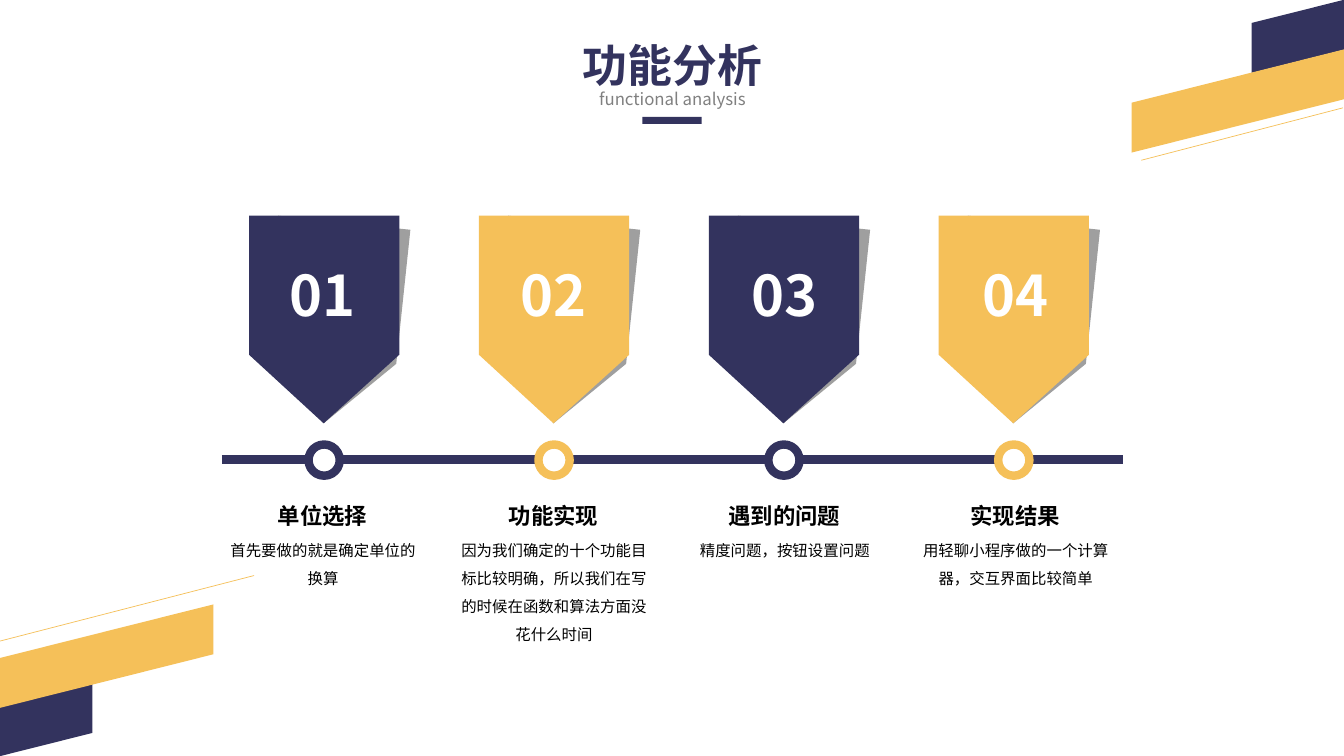
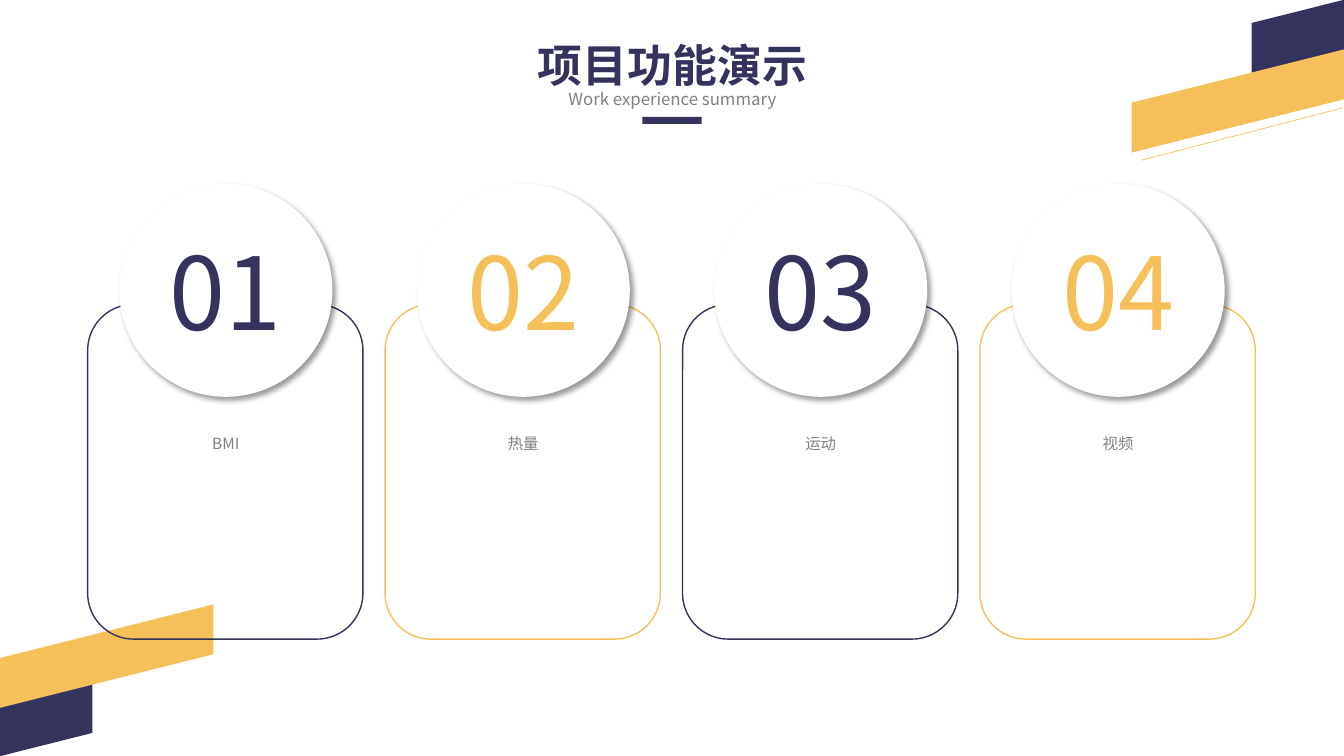
from lxml import etree
from pptx import Presentation
from pptx.dml.color import RGBColor
from pptx.enum.shapes import MSO_CONNECTOR, MSO_SHAPE
from pptx.enum.text import MSO_ANCHOR, MSO_AUTO_SIZE, PP_ALIGN
from pptx.oxml import parse_xml
from pptx.oxml.ns import nsdecls, qn
from pptx.util import Pt

PX = 9144  # EMU, 100 px to the inch
NAVY = RGBColor(0x33, 0x33, 0x5E)
AMBER = RGBColor(0xF5, 0xC0, 0x59)
GREY = RGBColor(0x80, 0x80, 0x80)
DARK = RGBColor(0x40, 0x40, 0x40)
WHITE = RGBColor(0xFF, 0xFF, 0xFF)
BLACK = RGBColor(0, 0, 0)
ACCENTS = [NAVY, AMBER, NAVY, AMBER]
SANS = "Noto Sans CJK SC"
SANS_NUMERAL = "Noto Sans CJK JP"
BAND_TILT = -14.1


class Deck:
    def __init__(self):
        self.prs = Presentation()
        self.prs.slide_width = 1333 * PX
        self.prs.slide_height = 750 * PX
        self.slide = None

    def new_slide(self, title, subtitle):
        """Start a slide with the corner bands and the centred heading."""
        self.slide = self.prs.slides.add_slide(self.prs.slide_layouts[5])
        for x, y, w, color in [(-8, 690, 107, NAVY), (-10, 627, 231, AMBER),
                               (1234, 12, 107, NAVY), (1113, 76, 231, AMBER)]:
            band = self.shape(MSO_SHAPE.PARALLELOGRAM, x, y, w, 48, color)
            band.rotation = BAND_TILT
        self.line(1132, 159, 1332, 107, AMBER, 0.5)

        sp = self.slide.shapes.title
        sp.left, sp.top, sp.width, sp.height = [v * PX for v in (450, 32, 434, 64)]
        self.set_text(sp.text_frame, title, 32, NAVY, bold=True)
        self.fit(sp.text_frame)
        self.text(subtitle, 450, 83, 434, 30, 12, GREY)
        self.shape(MSO_SHAPE.RECTANGLE, 637, 116, 59, 7, NAVY)

    def set_text(self, tf, text, size, color, bold=False, font=SANS, spacing=None):
        tf.text = text
        p = tf.paragraphs[0]
        p.alignment = PP_ALIGN.CENTER
        if spacing:
            p.line_spacing = spacing
        r = p.runs[0]
        r.font.size, r.font.bold, r.font.name = Pt(size), bold, font
        r.font.color.rgb = color
        ea = etree.SubElement(r.font._element, qn("a:ea"))
        ea.set("typeface", font)

    def fit(self, tf):
        tf.word_wrap = True
        tf.vertical_anchor = MSO_ANCHOR.TOP
        tf.auto_size = MSO_AUTO_SIZE.SHAPE_TO_FIT_TEXT

    def text(self, text, x, y, w, h, size, color, **style):
        tf = self.slide.shapes.add_textbox(x * PX, y * PX, w * PX, h * PX).text_frame
        self.set_text(tf, text, size, color, **style)
        self.fit(tf)

    def paint(self, sp, fill, line=None, weight=1):
        sp.shadow.inherit = False
        if fill is None:
            sp.fill.background()
        else:
            sp.fill.solid()
            sp.fill.fore_color.rgb = fill
        if line is None:
            sp.line.fill.background()
        else:
            sp.line.color.rgb = line
            sp.line.width = Pt(weight)
        return sp

    def shape(self, kind, x, y, w, h, fill, line=None, weight=1):
        sp = self.slide.shapes.add_shape(kind, x * PX, y * PX, w * PX, h * PX)
        return self.paint(sp, fill, line, weight)

    def line(self, x1, y1, x2, y2, color, weight):
        cxn = self.slide.shapes.add_connector(
            MSO_CONNECTOR.STRAIGHT, x1 * PX, y1 * PX, x2 * PX, y2 * PX)
        cxn.line.color.rgb = color
        cxn.line.width = Pt(weight)
        etree.SubElement(cxn._element.spPr, qn("a:effectLst"))

    def polygon(self, points, fill, alpha=100):
        builder = self.slide.shapes.build_freeform(*points[0], scale=PX)
        builder.add_line_segments(points[1:], close=True)
        sp = self.paint(builder.convert_to_shape(), fill)
        if alpha < 100:
            clr = sp._element.spPr.find(".//" + qn("a:srgbClr"))
            etree.SubElement(clr, qn("a:alpha")).set("val", str(alpha * 1000))

    def badge(self, x, color):
        """Draw a pointed badge with its skewed shade and a timeline dot."""
        shade = [(29, 214), (160, 228), (146, 361), (74, 420), (15, 348)]
        front = [(0, 214), (149, 214), (149, 352), (74, 420), (0, 352)]
        self.polygon([(x + dx, y) for dx, y in shade], DARK, alpha=50)
        self.polygon([(x + dx, y) for dx, y in front], color)
        self.shape(MSO_SHAPE.OVAL, x + 59, 441, 31, 31, WHITE, color, 6)

    def card(self, x, number, label, color):
        self.shape(MSO_SHAPE.ROUNDED_RECTANGLE, x, 302, 273, 332, None, color)
        disc = self.shape(MSO_SHAPE.OVAL, x + 32, 183, 210, 210, WHITE, WHITE)
        disc._element.spPr.find(qn("a:effectLst")).append(parse_xml(
            f'<a:outerShdw {nsdecls("a")} blurRad="{Pt(4)}" dist="{Pt(3)}" '
            'dir="2700000" algn="tl" rotWithShape="0"><a:srgbClr val="000000">'
            '<a:alpha val="40000"/></a:srgbClr></a:outerShdw>'))
        self.set_text(disc.text_frame, number, 72, color, font=SANS_NUMERAL)
        disc.text_frame.vertical_anchor = MSO_ANCHOR.MIDDLE
        self.text(label, x + 32, 417, 210, 35, 11, GREY, spacing=1.5)


def build_timeline(deck):
    steps = [
        ("单位选择", "首先要做的就是确定单位的换算", 65),
        ("功能实现", "因为我们确定的十个功能目标比较明确，所以我们在写的时候在函数和算法方面没花什么时间", 121),
        ("遇到的问题", "精度问题，按钮设置问题", 35),
        ("实现结果", "用轻聊小程序做的一个计算器，交互界面比较简单", 63),
    ]
    deck.new_slide("功能分析", "functional analysis")
    deck.line(0, 636, 252, 571, AMBER, 0.5)
    deck.line(220, 456, 1114, 456, NAVY, 6)
    for i, color in enumerate(ACCENTS):
        deck.badge(247 + 228 * i, color)
    for i, (heading, detail, height) in enumerate(steps):
        x = 233 + 229 * i
        deck.text(f"{i + 1:02}", x, 254, 174, 77, 40, WHITE, bold=True)
        deck.text(heading, x, 493, 174, 37, 16, BLACK, bold=True)
        deck.text(detail, x - 18, 523, 211, height, 11, BLACK, spacing=1.5)


def build_cards(deck):
    deck.new_slide("项目功能演示", "Work experience summary")
    for i, (label, color) in enumerate(zip(["BMI", "热量", "运动", "视频"], ACCENTS)):
        deck.card(87 + 295 * i, f"{i + 1:02}", label, color)


def main():
    deck = Deck()
    build_timeline(deck)
    build_cards(deck)
    deck.prs.save("out.pptx")


if __name__ == "__main__":
    main()
